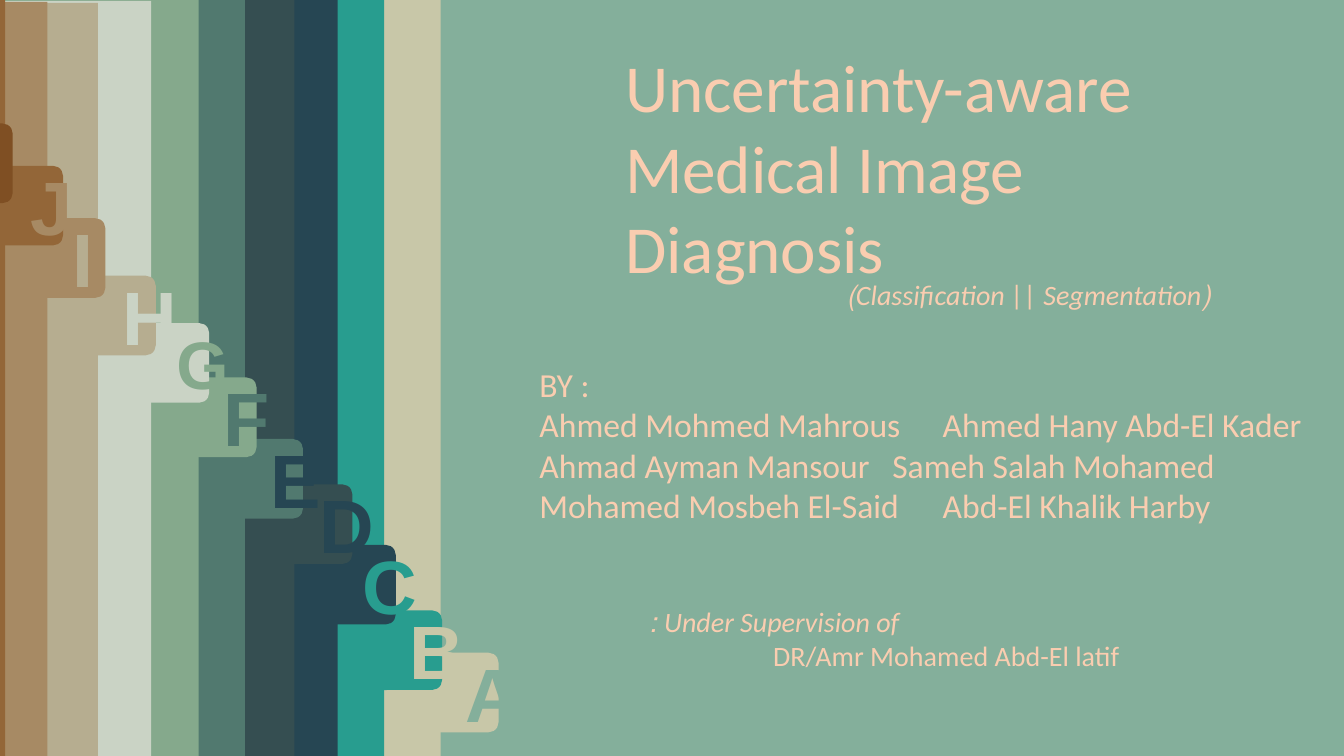
from dataclasses import dataclass

from lxml import etree
from pptx import Presentation
from pptx.dml.color import RGBColor
from pptx.enum.shapes import MSO_SHAPE
from pptx.enum.text import MSO_ANCHOR, MSO_AUTO_SIZE, PP_ALIGN
from pptx.oxml.ns import qn
from pptx.util import Inches, Pt

RECT, TAB = MSO_SHAPE.RECTANGLE, MSO_SHAPE.ROUND_2_SAME_RECTANGLE
LEFT, CENTER, RIGHT = PP_ALIGN.LEFT, PP_ALIGN.CENTER, PP_ALIGN.RIGHT
TOP, GROW = MSO_ANCHOR.TOP, MSO_AUTO_SIZE.SHAPE_TO_FIT_TEXT

COLORS = {
    "sage": "84AF9B", "sand": "C8C7A8", "teal": "289D8F", "navy": "264653",
    "slate": "354E51", "pine": "51796F", "leaf": "85A98C", "mist": "CAD3C5",
    "khaki": "B6AD90", "tan": "A78A64", "brown": "936638", "umber": "7F4F23",
    "peach": "FACDB0",
}
BAND_W, BAND_H = 10.77, 7.5
TAB_W, TAB_H = 0.79, 0.6


@dataclass
class Band:
    right: float
    tab_top: float
    color: str
    letter: str = ""
    letter_color: str = ""
    top: float = 0
    size: int = 54


@dataclass
class Line:
    text: str
    tab_stop: float = 0


BANDS = [
    Band(4.37, 6.57, "sand", "A", "sage"),
    Band(3.81, 6.15, "teal", "B", "sand"),
    Band(3.35, 5.5, "navy", "C", "teal"),
    Band(2.92, 4.9, "slate", "D", "navy"),
    Band(2.43, 4.45, "pine", "E", "navy"),
    Band(1.97, 3.84, "leaf", "F", "pine"),
    Band(1.5, 3.3, "mist", "G", "leaf", top=0.01, size=48),
    Band(0.97, 2.83, "khaki", "H", "mist", top=0.03),
    Band(0.47, 2.26, "tan", "I", "khaki", top=0.02),
    Band(0.05, 1.74, "brown", "J", "tan"),
    Band(-0.45, 1.32, "umber"),
]
AUTHORS = [
    Line("BY :"),
    Line("Ahmed Mohmed Mahrous\tAhmed Hany Abd-El Kader", 4.1),
    Line("Ahmad Ayman Mansour\tSameh Salah Mohamed", 3.95),
    Line("Mohamed Mosbeh El-Said\tAbd-El Khalik Harby", 4.02),
]


def rgb(name: str) -> RGBColor:
    return RGBColor.from_string(COLORS[name])


def place(sp, left: float, top: float, width: float, height: float) -> None:
    box = {"left": left, "top": top, "width": width, "height": height}
    for name, value in box.items():
        setattr(sp, name, Inches(value))


def add_block(s, kind, left: float, top: float, width: float, height: float, color: str):
    sp = s.shapes.add_shape(kind, *map(Inches, (left, top, width, height)))
    sp.shadow.inherit = False
    sp.fill.solid()
    sp.fill.fore_color.rgb = rgb(color)
    sp.line.fill.background()
    return sp


def write(sp, lines: list[Line], size: int, color: str = "peach", font: str = "Calibri",
          align=LEFT, bold: bool = False, italic: bool = False, rtl: bool = False) -> None:
    """Fill a shape with lines; a tab stop sets where the second column starts."""
    tf = sp.text_frame
    for name, value in {"word_wrap": True, "auto_size": GROW, "vertical_anchor": TOP}.items():
        setattr(tf, name, value)
    for i, line in enumerate(lines):
        p = tf.paragraphs[0] if i == 0 else tf.add_paragraph()
        p.alignment, p.space_before = align, Pt(0)
        ppr = p._p.get_or_add_pPr()
        if rtl:
            ppr.set("rtl", "1")
        if line.tab_stop:
            stops = etree.SubElement(ppr, qn("a:tabLst"))
            etree.SubElement(stops, qn("a:tab"), pos=str(Inches(line.tab_stop)), algn="l")
        r = p.add_run()
        r.text = line.text
        style = {"name": font, "size": Pt(size), "bold": bold, "italic": italic}
        for name, value in style.items():
            setattr(r.font, name, value)
        r.font.color.rgb = rgb(color)


def add_text(s, left: float, top: float, width: float, height: float,
             text: str, size: int, **style) -> None:
    sp = s.shapes.add_textbox(*map(Inches, (left, top, width, height)))
    write(sp, [Line(text)], size, **style)


def add_band(s, band: Band) -> None:
    """Draw a band ending at its right edge, with a lettered tab sticking out."""
    if band.right > 0:
        add_block(s, RECT, band.right - BAND_W, band.top, BAND_W, BAND_H, band.color)
    tab = add_block(s, TAB, band.right - 0.12, band.tab_top, TAB_W, TAB_H, band.color)
    tab.rotation = 90
    if band.letter:
        height = band.size / 60 + 0.11
        middle = band.tab_top + TAB_H / 2
        add_text(s, band.right + 0.15, middle - height / 2, 0.28, height, band.letter,
                 band.size, color=band.letter_color, font="Arial", align=CENTER, bold=True)


def main() -> None:
    prs = Presentation()
    prs.slide_width, prs.slide_height = Inches(13.33), Inches(7.5)
    s = prs.slides.add_slide(prs.slide_layouts[0])
    s.background.fill.solid()
    s.background.fill.fore_color.rgb = rgb("sage")

    for band in BANDS:
        add_band(s, band)

    title, authors = s.shapes.title, s.placeholders[1]
    place(title, 6.1, 0.4, 5.62, 2.52)
    write(title, [Line("Uncertainty-aware Medical Image Diagnosis")], 48)
    place(authors, 5.25, 3.56, 8.31, 2.52)
    write(authors, AUTHORS, 24)

    aside = {"align": RIGHT, "italic": True, "rtl": True}
    add_text(s, 8.04, 2.7, 4.07, 0.44, "(Classification || Segmentation)", 20, **aside)
    add_text(s, 5.37, 5.95, 3.65, 0.44, "Under Supervision of :", 20, **aside)
    add_text(s, 7.57, 6.29, 4.54, 0.44, "DR/Amr Mohamed Abd-El latif", 20)
    prs.save("out.pptx")


if __name__ == "__main__":
    main()
